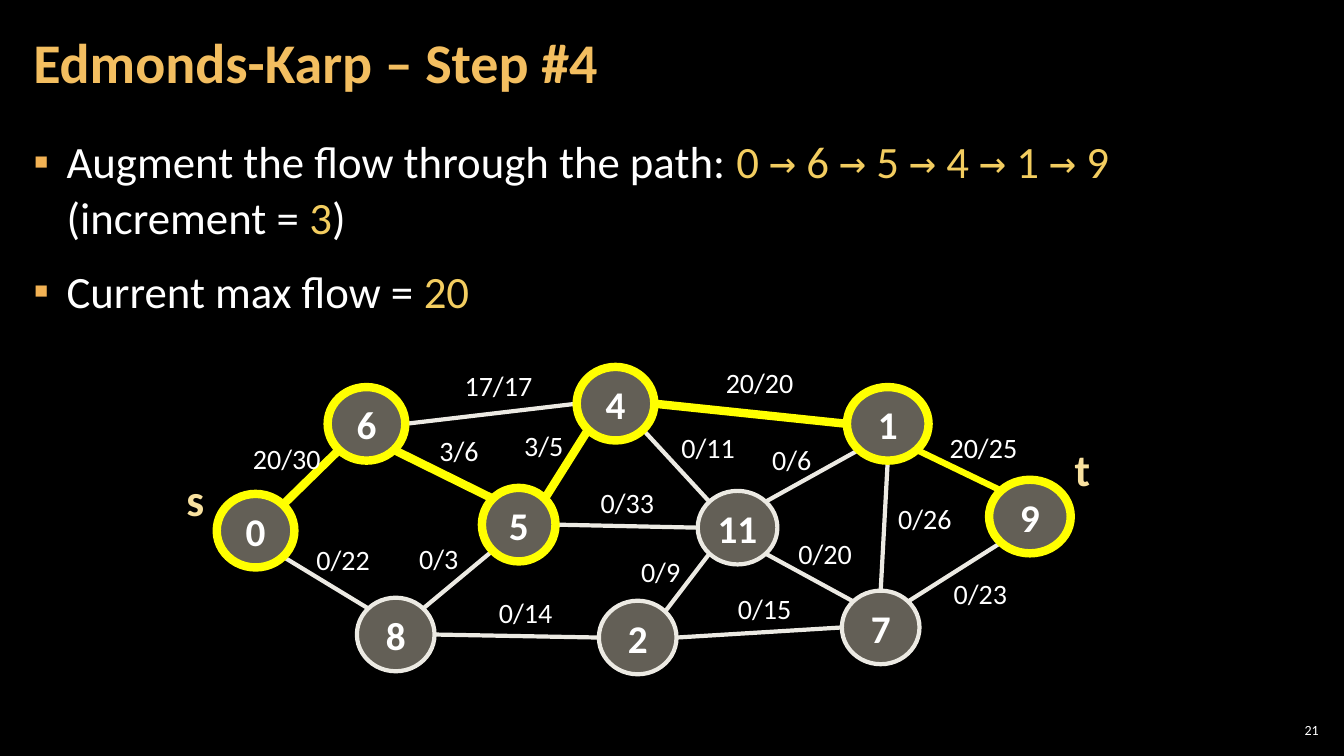
from dataclasses import dataclass
from math import sqrt

from lxml import etree
from pptx import Presentation
from pptx import util as u
from pptx.dml.color import RGBColor
from pptx.enum import shapes, text
from pptx.oxml.ns import qn


@dataclass(frozen=True)
class Theme:
    """Colours, fonts and type sizes of the slide."""
    background: str = "000000"
    ink: str = "FFFFFF"
    title: str = "F3BE60"
    accent: str = "F3CD60"
    bullet: str = "F2B254"
    terminal: str = "F8E19F"
    node: str = "C7BFAC"
    edge: str = "ECEAE3"
    flow: str = "FFFF00"
    font: str = "Calibri"
    arrow_font: str = "DejaVu Sans Mono"
    title_size: int = 40
    body_size: int = 32
    node_size: int = 28
    label_size: int = 20
    number_size: int = 10


THEME = Theme()
COLUMNS, ROWS = 133.3, 75
WIDTH, HEIGHT = u.Inches(13.33), u.Inches(7.5)
NODE_ROWS = 7.3
THIN, MEDIUM, THICK = 3, 4.5, 6
DIAGONAL = sqrt(0.5)
SIDES = {
    "N": (0, -1), "S": (0, 1), "W": (-1, 0), "E": (1, 0),
    "NW": (-DIAGONAL, -DIAGONAL), "NE": (DIAGONAL, -DIAGONAL),
    "SW": (-DIAGONAL, DIAGONAL), "SE": (DIAGONAL, DIAGONAL),
}

# Node: (left column, top row, columns, outline width)
NODES = {
    "0": (21.5, 49, 7.7, THICK), "6": (32.5, 38.4, 7.7, THICK),
    "8": (35.4, 59.3, 7.7, THIN), "5": (47.8, 48.4, 7.3, THICK),
    "4": (57.2, 36.4, 7.7, THICK), "2": (59.4, 59.6, 7.7, THIN),
    "11": (69.2, 48.7, 7.9, THIN), "1": (84, 38.4, 8.1, THICK),
    "7": (83.5, 58.6, 7.7, THIN), "9": (98.1, 47.6, 8.1, THICK),
}

# Edge: (from node, side, to node, side, width, flow, label column, label row)
EDGES = [
    ("0", "NE", "6", "SW", THICK, "20/30", 24.1, 43.3),
    ("0", "SE", "8", "NW", THIN, "0/22", 30.4, 53.3),
    ("6", "E", "4", "W", THIN, "17/17", 45.1, 36.1),
    ("6", "SE", "5", "NW", THICK, "3/6", 42.6, 42.5),
    ("5", "NE", "4", "SW", THICK, "3/5", 51, 42),
    ("5", "E", "11", "W", THIN, "0/33", 58.6, 47.7),
    ("5", "SW", "8", "NE", THIN, "0/3", 40.6, 53.2),
    ("8", "E", "2", "W", THIN, "0/14", 48.5, 58.6),
    ("4", "E", "1", "W", THICK, "20/20", 71, 35.8),
    ("4", "SE", "11", "NW", THIN, "0/11", 66.6, 42.2),
    ("2", "NE", "11", "SW", THIN, "0/9", 62.6, 54.5),
    ("2", "E", "7", "W", THIN, "0/15", 72.2, 58.2),
    ("11", "NE", "1", "SW", THIN, "0/6", 75.6, 43.4),
    ("11", "SE", "7", "NW", THIN, "0/20", 78.2, 52.7),
    ("7", "N", "1", "S", THIN, "0/26", 88.1, 49.3),
    ("1", "SE", "9", "NW", MEDIUM, "20/25", 93.2, 42.2),
    ("7", "NE", "9", "SW", THIN, "0/23", 93.6, 56.7),
]


def across(columns):
    """Turn grid columns into a length."""
    return round(WIDTH * columns / COLUMNS)


def down(rows):
    """Turn grid rows into a length."""
    return round(HEIGHT * rows / ROWS)


def cell(left, top, columns, rows):
    """Return the left, top, width and height of a grid area."""
    return across(left), down(top), across(columns), down(rows)


def place(box, area):
    """Move a shape to a grid area."""
    box.left, box.top, box.width, box.height = cell(*area)


def style(font, size, color, bold=False):
    """Format a font in the theme typeface."""
    font.name, font.size, font.bold = THEME.font, u.Pt(size), bold
    font.color.rgb = RGBColor.from_string(color)


def set_frame(frame, anchor, side, edge):
    """Set the anchor and insets of a text frame, in inches."""
    frame.auto_size = text.MSO_AUTO_SIZE.NONE
    frame.word_wrap = True
    frame.vertical_anchor = anchor
    frame.margin_left = frame.margin_right = u.Inches(side)
    frame.margin_top = frame.margin_bottom = u.Inches(edge)


def set_bullet(para):
    """Give a paragraph a square coloured bullet and a hanging indent."""
    props = para._p.get_or_add_pPr()
    props.set("marL", str(u.Inches(0.33)))
    props.set("indent", str(-u.Inches(0.33)))
    color = etree.SubElement(props, qn("a:buClr"))
    etree.SubElement(color, qn("a:srgbClr"), val=THEME.bullet)
    etree.SubElement(props, qn("a:buChar"), char="▪")


def add_item(para, parts):
    """Write a bulleted paragraph from (text, colour) parts."""
    para.line_spacing = 1.05
    para.space_before = para.space_after = u.Pt(6)
    set_bullet(para)
    for wording, color in parts:
        span = para.add_run()
        span.text = wording
        font_color = color
        style(span.font, THEME.body_size, font_color)
        if wording == "→":
            span.font.name = THEME.arrow_font


def path_parts(nodes):
    """Return the parts of a path of nodes joined by arrows."""
    parts = []
    for index, node in enumerate(nodes):
        if index:
            parts.append(("→", THEME.accent))
        before = " " if index else ""
        after = " " if index < len(nodes) - 1 else ""
        parts.append((before + node + after, THEME.accent))
    return parts


def add_title(page, wording):
    """Fill and format the title placeholder."""
    title = page.shapes.title
    place(title, (2.1, 0.4, 104.7, 12.1))
    set_frame(title.text_frame, text.MSO_ANCHOR.MIDDLE, 0.12, 0.04)
    title.text_frame.text = wording
    para = title.text_frame.paragraphs[0]
    para.alignment, para.line_spacing = text.PP_ALIGN.LEFT, 0.9
    style(para.font, THEME.title_size, THEME.title, True)


def add_body(page, items):
    """Fill and format the body placeholder."""
    body = page.placeholders[1]
    place(body, (2.1, 12.6, 129.1, 60.9))
    frame = body.text_frame
    set_frame(frame, text.MSO_ANCHOR.TOP, 0.12, 0.04)
    for index, parts in enumerate(items):
        add_item(frame.add_paragraph() if index else frame.paragraphs[0], parts)


def add_label(canvas, wording, area, size, color, bold=False):
    """Add an unwrapped text box."""
    box = canvas.add_textbox(*cell(*area))
    box.text_frame.word_wrap = False
    box.text_frame.auto_size = text.MSO_AUTO_SIZE.SHAPE_TO_FIT_TEXT
    box.text_frame.text = wording
    style(box.text_frame.paragraphs[0].font, size, color, bold)


def node_point(name, side):
    """Return the point on a node's outline in a compass direction."""
    left, top, columns, _ = NODES[name]
    dx, dy = SIDES[side]
    return across(left + columns * (1 + dx) / 2), down(top + NODE_ROWS * (1 + dy) / 2)


def add_edge(canvas, start, start_side, end, end_side, width):
    """Draw a line between two nodes; wide lines carry the path."""
    line = canvas.add_connector(shapes.MSO_CONNECTOR.STRAIGHT,
                                *node_point(start, start_side), *node_point(end, end_side))
    line.line.width = u.Pt(width)
    line.line.color.rgb = RGBColor.from_string(THEME.edge if width == THIN else THEME.flow)
    etree.SubElement(line._element.spPr, qn("a:effectLst"))


def add_node(canvas, name, left, top, columns, width):
    """Draw a half-transparent numbered node."""
    node = canvas.add_shape(shapes.MSO_SHAPE.OVAL, *cell(left, top, columns, NODE_ROWS))
    node.shadow.inherit = False
    node.fill.solid()
    node.fill.fore_color.rgb = RGBColor.from_string(THEME.node)
    color = node._element.spPr.find(qn("a:solidFill")).find(qn("a:srgbClr"))
    etree.SubElement(color, qn("a:alpha"), val="50000")
    node.line.width = u.Pt(width)
    node.line.color.rgb = RGBColor.from_string(THEME.edge if width == THIN else THEME.flow)
    set_frame(node.text_frame, text.MSO_ANCHOR.MIDDLE, 0.04, 0.05)
    node.text_frame.text = name
    para = node.text_frame.paragraphs[0]
    para.alignment = text.PP_ALIGN.CENTER
    style(para.font, THEME.node_size, THEME.ink, True)


def add_network(page):
    """Draw the flow network as one group."""
    canvas = page.shapes.add_group_shape().shapes
    for *ends, _, _, _ in EDGES:
        add_edge(canvas, *ends)
    for name, layout in NODES.items():
        add_node(canvas, name, *layout)
    for *_, flow, left, top in EDGES:
        area = (left, top, 1.5 + 1.46 * len(flow), 4.4)
        add_label(canvas, flow, area, THEME.label_size, THEME.ink)
    for name, left, top, columns in (("s", 17.5, 46.3, 3.8), ("t", 105.6, 43.3, 3.6)):
        add_label(canvas, name, (left, top, columns, 6.4), THEME.body_size, THEME.terminal, True)


def add_page_number(page, number):
    """Write the page number at the bottom right."""
    box = page.shapes.add_textbox(*cell(126.5, 71.4, 4.7, 2.1))
    set_frame(box.text_frame, text.MSO_ANCHOR.MIDDLE, 0.04, 0.04)
    box.text_frame.text = number
    para = box.text_frame.paragraphs[0]
    para.alignment = text.PP_ALIGN.RIGHT
    style(para.font, THEME.number_size, THEME.ink)


def main():
    """Build and save the slide."""
    deck = Presentation()
    deck.slide_width, deck.slide_height = WIDTH, HEIGHT
    page = deck.slides.add_slide(deck.slide_layouts[1])
    page.background.fill.solid()
    page.background.fill.fore_color.rgb = RGBColor.from_string(THEME.background)
    add_title(page, "Edmonds-Karp – Step #4")
    add_body(page, [
        [("Augment the flow through the path: ", THEME.ink), *path_parts("065419"),
         (" (increment = ", THEME.ink), ("3", THEME.accent), (")", THEME.ink)],
        [("Current max flow = ", THEME.ink), ("20", THEME.accent)],
    ])
    add_network(page)
    add_page_number(page, "21")
    deck.save("out.pptx")


if __name__ == "__main__":
    main()
